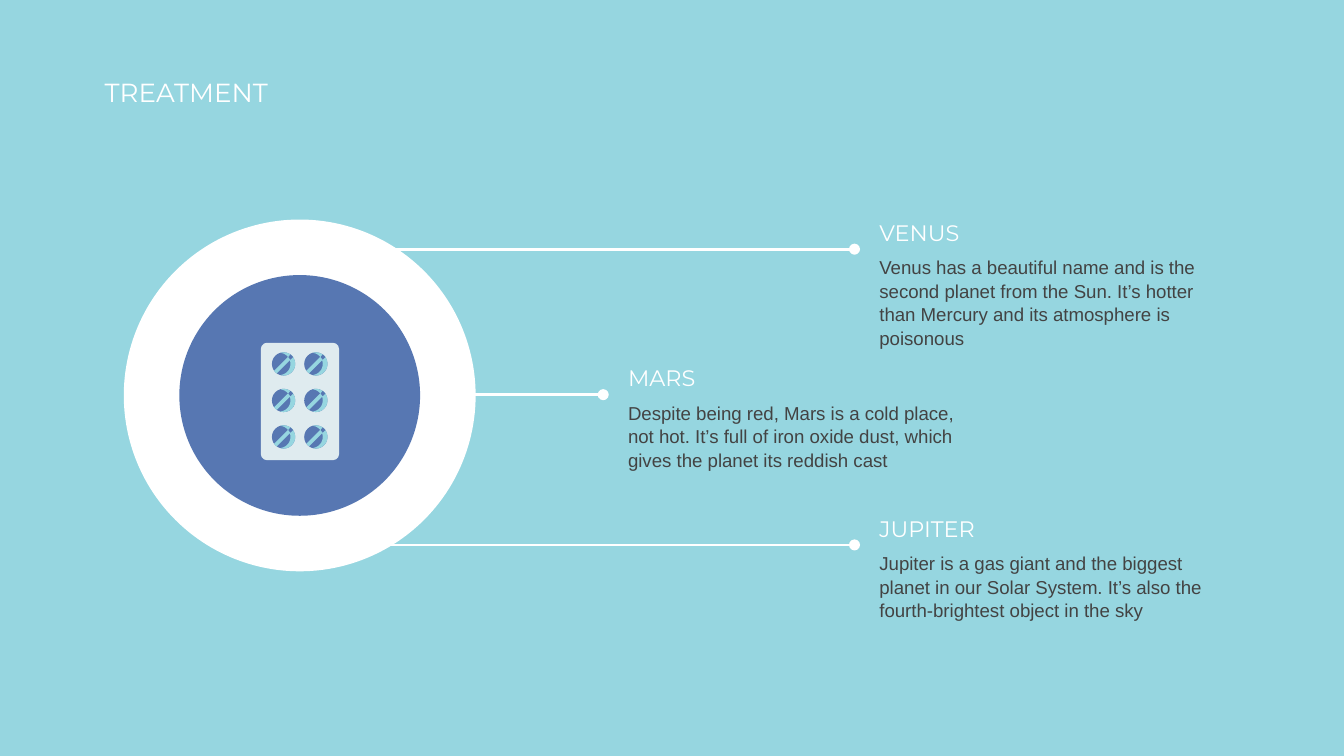
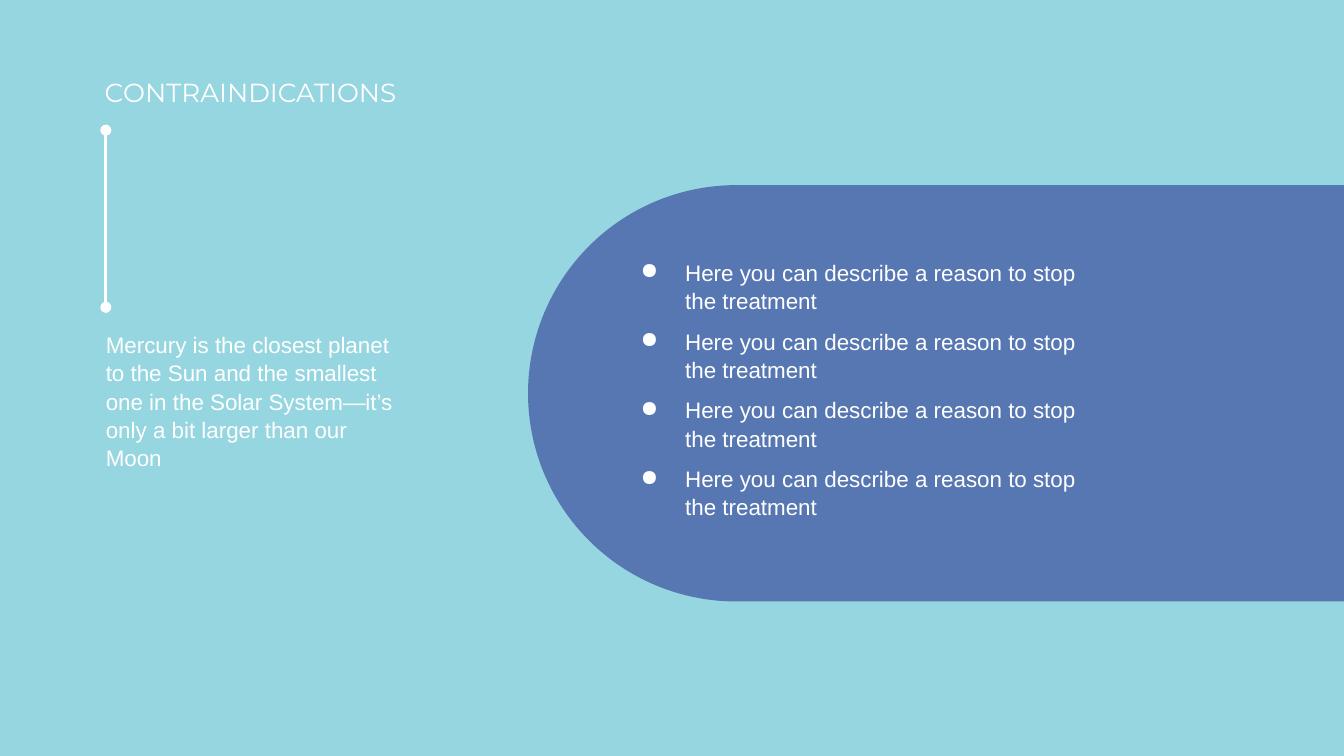
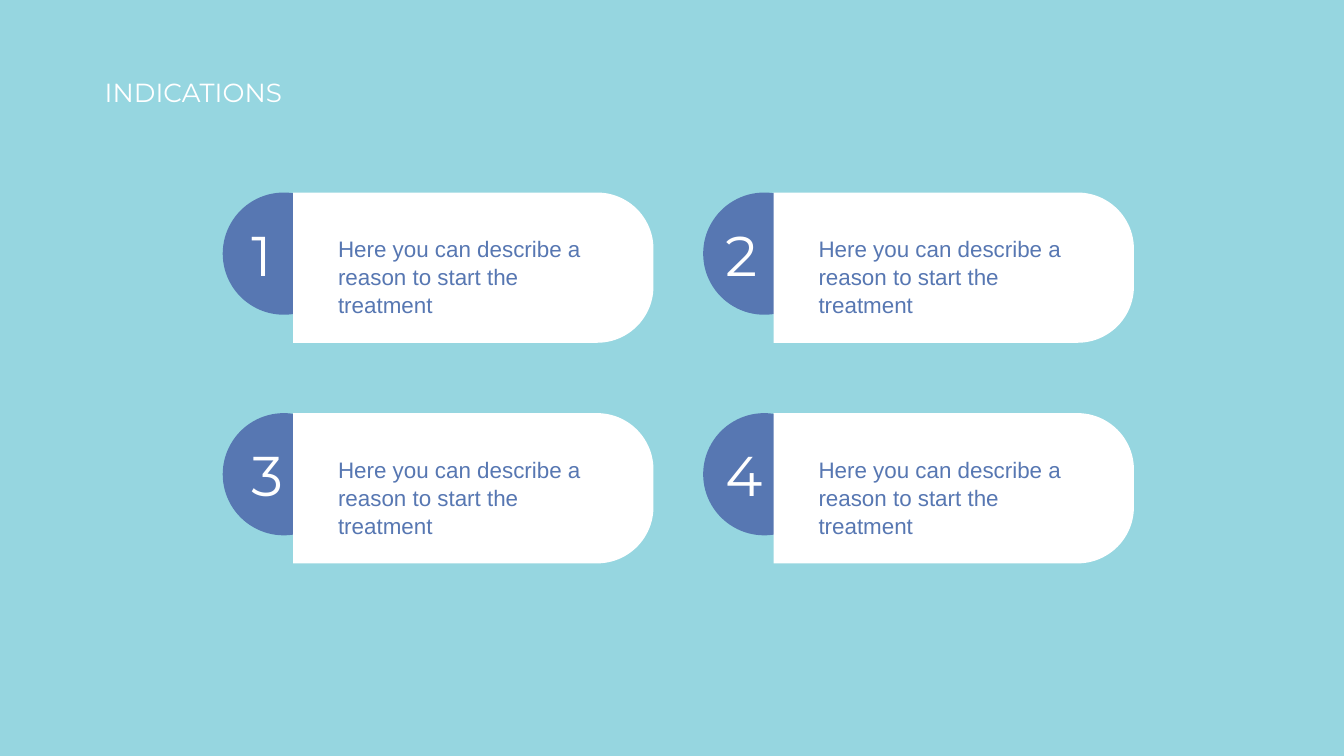
"""Build three treatment slides: callouts, contraindications and indications."""
import math

from lxml import etree
from pptx import Presentation
from pptx.dml.color import RGBColor
from pptx.enum.shapes import MSO_CONNECTOR, MSO_SHAPE
from pptx.enum.text import MSO_ANCHOR
from pptx.oxml.ns import qn
from pptx.util import Cm, Pt

STRAIGHT = MSO_CONNECTOR.STRAIGHT
OVAL = MSO_SHAPE.OVAL
ROUNDED = MSO_SHAPE.ROUNDED_RECTANGLE
ROUND_TOP = MSO_SHAPE.ROUND_2_SAME_RECTANGLE
TOP, MIDDLE = MSO_ANCHOR.TOP, MSO_ANCHOR.MIDDLE

COLORS = {"sky": "96D6E0", "blue": "5777B2", "white": "FFFFFF",
          "gray": "434343", "foil": "DFEBEF"}
HEADING, BODY = "Montserrat", "Arial"


def color(name):
    return RGBColor.from_string(COLORS[name])


def arc(center_x, radius, start, end, steps=16):
    angles = (math.radians(start + (end - start) * i / steps) for i in range(steps + 1))
    return [(center_x + radius * math.cos(a), radius * math.sin(a)) for a in angles]


class Slides:
    def __init__(self):
        self.deck = Presentation()
        self.deck.slide_width, self.deck.slide_height = Cm(25.4), Cm(14.29)
        self.page = None

    def new_page(self, title):
        self.page = self.deck.slides.add_slide(self.deck.slide_layouts[6])
        self.page.background.fill.solid()
        self.page.background.fill.fore_color.rgb = color("sky")
        self.text(title, 1.73, 1.19, 10.97, 1.63, font=HEADING, size=14)

    def text(self, text, left, top, width, height, font=BODY, size=12,
             fill="white", anchor=TOP, bullet=None):
        box = self.page.shapes.add_textbox(Cm(left), Cm(top), Cm(width), Cm(height))
        frame = box.text_frame
        frame.word_wrap = True
        frame.vertical_anchor = anchor
        frame.margin_left = frame.margin_right = Cm(0.25)
        frame.margin_top = frame.margin_bottom = Cm(0.25)
        para = frame.paragraphs[0]
        if bullet:
            props = para._p.get_or_add_pPr()
            props.set("marL", str(Cm(1.27)))
            props.set("indent", str(Cm(-0.84)))
            tint = etree.SubElement(props, qn("a:buClr"))
            etree.SubElement(tint, qn("a:srgbClr"), val=COLORS[fill])
            etree.SubElement(props, qn("a:buChar"), char=bullet)
        if font == BODY:
            para.line_spacing = 1.05
        span = para.add_run()
        span.text = text
        span.font.name, span.font.size = font, Pt(size)
        span.font.color.rgb = color(fill)

    def paint(self, shape, fill):
        shape.shadow.inherit = False
        shape.fill.solid()
        shape.fill.fore_color.rgb = color(fill)
        shape.line.fill.background()

    def shape(self, kind, left, top, width, height, fill, adjust=(), rotation=0, group=None):
        shapes = (group or self.page).shapes
        shape = shapes.add_shape(kind, Cm(left), Cm(top), Cm(width), Cm(height))
        for index, value in enumerate(adjust):
            shape.adjustments[index] = value
        shape.rotation = rotation
        self.paint(shape, fill)

    def outline(self, points, center_x, center_y, fill, group):
        spots = [(Cm(center_x + x), Cm(center_y + y)) for x, y in points]
        builder = group.shapes.build_freeform(*spots[0])
        builder.add_line_segments(spots[1:])
        self.paint(builder.convert_to_shape(), fill)

    def line(self, x1, y1, x2, y2, ends=("tailEnd",)):
        line = self.page.shapes.add_connector(STRAIGHT, Cm(x1), Cm(y1), Cm(x2), Cm(y2))
        line.line.color.rgb = color("white")
        line.line.width = Pt(1.5)
        for end in ends:
            etree.SubElement(line.line._get_or_add_ln(), qn(f"a:{end}"), type="oval")
        etree.SubElement(line._element.spPr, qn("a:effectLst"))

    def pill(self, x, y, group):
        crescent = arc(0, 0.22, -103, 103) + arc(-0.08, 0.21, 81, -81)
        stripe = [(0.13, -0.18), (-0.18, 0.13), (-0.13, 0.18), (0.18, -0.13)]
        tip = [(0.13, -0.18), (0.09, -0.13), (0.13, -0.08), (0.18, -0.13)]
        self.shape(OVAL, x - 0.22, y - 0.22, 0.44, 0.44, "blue", group=group)
        for points, fill in ((crescent, "sky"), (stripe, "sky"), (tip, "blue")):
            self.outline(points, x, y, fill, group)

    def blister_pack(self):
        group = self.page.shapes.add_group_shape()
        self.shape(ROUNDED, 4.93, 6.48, 1.48, 2.22, "foil", (0.08,), group=group)
        for row in range(3):
            for column in range(2):
                self.pill(5.36 + 0.61 * column, 6.88 + 0.69 * row, group)

    def callout(self, name, description, end_x, y):
        self.line(5.56, y, end_x, y)
        left, top = end_x + 0.22, y - 0.14
        self.text(description, left, top, 7.04, 3.2, size=10, fill="gray")
        self.text(name, left, top - 0.68, 3.66, 1.09, font=HEADING)

    def card(self, number, text, left, top, number_left):
        width, height = 6.81, 2.84
        shift = (width - height) / 2
        self.shape(OVAL, left - 1.33, top, 2.31, 2.31, "blue")
        self.shape(ROUND_TOP, left + shift, top - shift, height, width, "white",
                   (0.375, 0), rotation=90)
        self.text(str(number), number_left, top + 0.43, 1.02, 1.45,
                  font=HEADING, size=30, anchor=MIDDLE)
        self.text(text, left + 0.6, top + 0.53, 5.18, 1.09, fill="blue")


def treatment(slides):
    slides.new_page("TREATMENT")
    slides.shape(OVAL, 2.34, 4.15, 6.65, 6.65, "white")
    planets = [
        ("VENUS", "Venus has a beautiful name and is the second planet from the Sun. "
         "It’s hotter than Mercury and its atmosphere is poisonous", 16.15, 4.71),
        ("MARS", "Despite being red, Mars is a cold place, not hot. "
         "It’s full of iron oxide dust, which gives the planet its reddish cast", 11.4, 7.46),
        ("JUPITER", "Jupiter is a gas giant and the biggest planet in our Solar System. "
         "It’s also the fourth-brightest object in the sky", 16.15, 10.3),
    ]
    for planet in planets:
        slides.callout(*planet)
    slides.shape(OVAL, 3.39, 5.2, 4.55, 4.55, "blue")
    slides.blister_pack()


def contraindications(slides):
    slides.new_page("CONTRAINDICATIONS")
    slides.shape(ROUNDED, 9.98, 3.5, 19.63, 7.87, "blue", (0.5,))
    for row in range(4):
        slides.text("Here you can describe a reason to stop the treatment",
                    11.43, 4.62 + 1.3 * row, 9.17, 1.14, bullet="●")
    slides.text("Mercury is the closest planet to the Sun and the smallest one in the "
                "Solar System—it’s only a bit larger than our Moon", 1.75, 5.99, 5.94, 4.24)
    slides.line(2, 5.81, 2, 2.46, ends=("headEnd", "tailEnd"))


def indications(slides):
    slides.new_page("INDICATIONS")
    number_lefts = (4.5, 13.46)
    for index in range(4):
        row, column = divmod(index, 2)
        slides.card(index + 1, "Here you can describe a reason to start the treatment",
                    5.54 + 9.08 * column, 3.64 + 4.17 * row, number_lefts[column])


def main():
    slides = Slides()
    treatment(slides)
    contraindications(slides)
    indications(slides)
    slides.deck.save("out.pptx")


if __name__ == "__main__":
    main()
